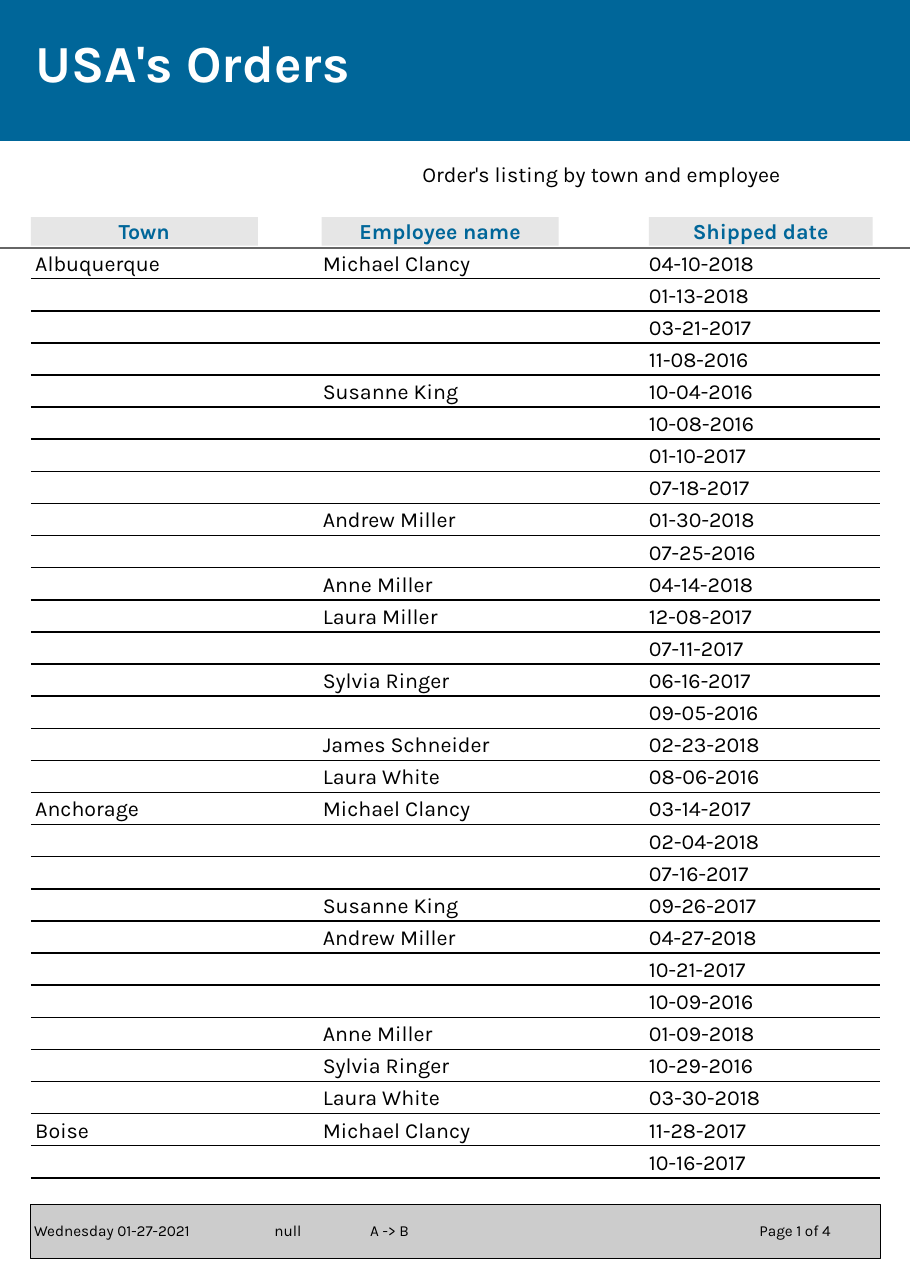
import pptx
import pptx.dml.color
import pptx.enum.shapes
import pptx.enum.text
import pptx.oxml.ns
import pptx.util
from lxml import etree

ALIGN = pptx.enum.text.PP_ALIGN
BLUE, BLACK, WHITE = "006699", "000000", "FFFFFF"


def color(value):
    return pptx.dml.color.RGBColor.from_string(value)


class Report:
    font = "Karla"
    body_size = 14
    footer_size = 10

    def __init__(self, deck):
        self.deck = deck
        self.slide = deck.slides.add_slide(deck.slide_layouts[6])

    def x(self, percent):
        return round(self.deck.slide_width * percent / 100)

    def y(self, percent):
        return round(self.deck.slide_height * percent / 100)

    def area(self, left, top, width, height):
        return self.x(left), self.y(top), self.x(width), self.y(height)

    def fill_text(self, frame, words, size, tint, bold, align):
        frame.margin_left = frame.margin_right = 0
        frame.margin_top = frame.margin_bottom = 0
        frame.word_wrap = True
        paragraph = frame.paragraphs[0]
        paragraph.alignment = align
        run = paragraph.add_run()
        run.text = words
        run.font.name = self.font
        run.font.size = pptx.util.Pt(size)
        run.font.bold = bold
        run.font.color.rgb = color(tint)

    def text(self, place, words, size=body_size, tint=BLACK, bold=False, align=ALIGN.LEFT):
        box = self.slide.shapes.add_textbox(*self.area(*place))
        self.fill_text(box.text_frame, words, size, tint, bold, align)

    def panel(self, place, fill, outline=None, heading=None):
        kind = pptx.enum.shapes.MSO_SHAPE.RECTANGLE
        panel = self.slide.shapes.add_shape(kind, *self.area(*place))
        panel.shadow.inherit = False
        panel.fill.solid()
        panel.fill.fore_color.rgb = color(fill)
        if outline:
            panel.line.color.rgb = color(outline)
            panel.line.width = pptx.util.Pt(0.5)
        else:
            panel.line.fill.background()
        if heading:
            self.fill_text(panel.text_frame, heading, self.body_size, BLUE, True, ALIGN.CENTER)

    def rule(self, left, right, top, tint=BLACK):
        kind = pptx.enum.shapes.MSO_CONNECTOR.STRAIGHT
        rule = self.slide.shapes.add_connector(
            kind, self.x(left), self.y(top), self.x(right), self.y(top))
        rule.line.color.rgb = color(tint)
        rule.line.width = pptx.util.Pt(1)
        properties = rule._element.find(pptx.oxml.ns.qn("p:spPr"))
        etree.SubElement(properties, pptx.oxml.ns.qn("a:effectLst"))


ORDERS = {
    "Albuquerque": {
        "Michael Clancy": ["04-10-2018", "01-13-2018", "03-21-2017", "11-08-2016"],
        "Susanne King": ["10-04-2016", "10-08-2016", "01-10-2017", "07-18-2017"],
        "Andrew Miller": ["01-30-2018", "07-25-2016"],
        "Anne Miller": ["04-14-2018"],
        "Laura Miller": ["12-08-2017", "07-11-2017"],
        "Sylvia Ringer": ["06-16-2017", "09-05-2016"],
        "James Schneider": ["02-23-2018"],
        "Laura White": ["08-06-2016"],
    },
    "Anchorage": {
        "Michael Clancy": ["03-14-2017", "02-04-2018", "07-16-2017"],
        "Susanne King": ["09-26-2017"],
        "Andrew Miller": ["04-27-2018", "10-21-2017", "10-09-2016"],
        "Anne Miller": ["01-09-2018"],
        "Sylvia Ringer": ["10-29-2016"],
        "Laura White": ["03-30-2018"],
    },
    "Boise": {"Michael Clancy": ["11-28-2017", "10-16-2017"]},
}
HEADINGS = [("Town", 3.39, 24.94), ("Employee name", 35.35, 26.03), ("Shipped date", 71.31, 24.58)]
COLUMNS = [(3.87, 24.58), (35.47, 25.91), (71.31, 18.64)]
FOOTER = [
    ("Wednesday 01-27-2021", 3.75, 24.58, ALIGN.LEFT),
    ("null", 30.15, 9.08, ALIGN.LEFT),
    ("A -> B", 40.68, 18.64, ALIGN.LEFT),
    ("Page 1 of", 61.38, 28.57, ALIGN.RIGHT),
    (" 4", 89.95, 6.42, ALIGN.LEFT),
]
LEFT, RIGHT = 3.39, 96.73
FIRST_RULE, LAST_RULE = 21.64, 91.45
TEXT_RISE = 2.26

rows = []
for town, employees in ORDERS.items():
    town_label = town
    for employee, dates in employees.items():
        employee_label = employee
        for date in dates:
            rows.append((town_label, employee_label, date))
            town_label = employee_label = ""
pitch = (LAST_RULE - FIRST_RULE) / (len(rows) - 1)

deck = pptx.Presentation()
deck.slide_width = pptx.util.Inches(8.26)
deck.slide_height = pptx.util.Inches(11.69)
report = Report(deck)

report.panel((0, 0, 100, 10.95), BLUE)
report.text((3.87, 2.4, 76.88, 5.13), "USA's Orders", 34, WHITE, True)
report.text((35.47, 12.49, 61.26, 2.99), "Order's listing by town and employee", align=ALIGN.CENTER)

report.rule(0, 100, 19.25, "666666")
for heading, left, width in HEADINGS:
    report.panel((left, 16.85, width, 2.22), "E6E6E6", heading=heading)

for index, row in enumerate(rows):
    baseline = FIRST_RULE + index * pitch
    report.rule(LEFT, RIGHT, baseline)
    for words, (left, width) in zip(row, COLUMNS):
        if words:
            report.text((left, baseline - TEXT_RISE, width, 2.4), words)

report.panel((LEFT, 93.5, RIGHT - LEFT, 4.19), "CCCCCC", BLACK)
for words, left, width, align in FOOTER:
    report.text((left, 94.78, width, 1.54), words, report.footer_size, align=align)

deck.save("out.pptx")
